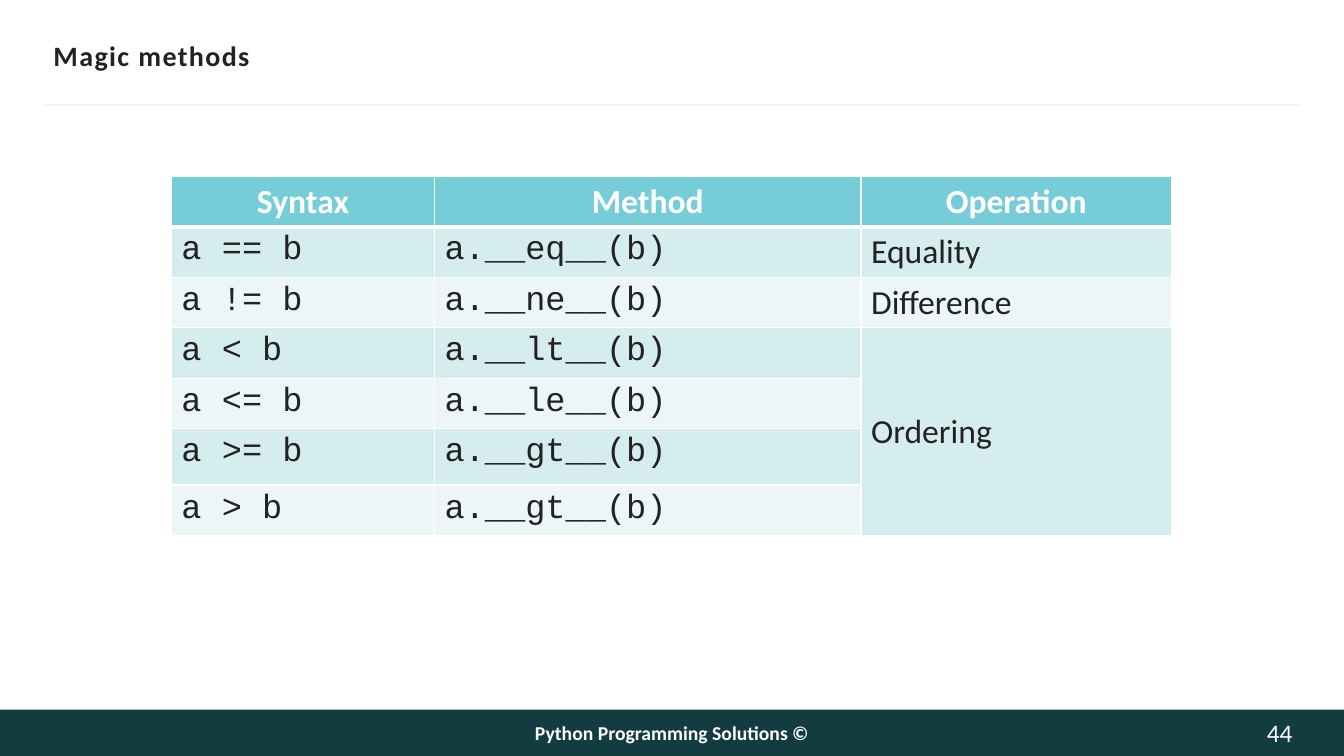
from lxml import etree
from pptx import Presentation
from pptx.dml.color import RGBColor
from pptx.enum import shapes, text
from pptx.oxml import ns
from pptx.util import Inches, Pt

WHITE = RGBColor(0xFF, 0xFF, 0xFF)
NEAR_WHITE = RGBColor(0xFE, 0xFE, 0xFE)
INK = RGBColor(0x22, 0x22, 0x22)
DARK_TEAL = RGBColor(0x13, 0x3C, 0x41)
RULE_GREY = RGBColor(0xF5, 0xF5, 0xF5)
HEADER_TEAL = RGBColor(0x76, 0xCD, 0xD8)
BANDS = [RGBColor(0xD6, 0xED, 0xF0), RGBColor(0xEC, 0xF6, 0xF8)]

HEADERS = ["Syntax", "Method", "Operation"]
ROWS = [
    ("a == b", "a.__eq__(b)", "Equality"),
    ("a != b", "a.__ne__(b)", "Difference"),
    ("a < b", "a.__lt__(b)", "Ordering"),
    ("a <= b", "a.__le__(b)", ""),
    ("a >= b", "a.__gt__(b)", ""),
    ("a > b", "a.__gt__(b)", ""),
]
COLUMN_WIDTHS = [2.61, 4.23, 3.08]
ROW_HEIGHTS = [0.41] * 5 + [0.56, 0.41]
ORDERING_ROW = 3

LEFT, CENTER, RIGHT = text.PP_ALIGN.LEFT, text.PP_ALIGN.CENTER, text.PP_ALIGN.RIGHT
MIDDLE = text.MSO_ANCHOR.MIDDLE
HEADER_FONT = {"name": "Calibri", "size": Pt(24), "bold": True}
CODE_FONT = {"name": "Courier New", "size": Pt(24), "bold": False}
BODY_FONT = {"name": "Calibri", "size": Pt(24), "bold": False}

# words, box, alignment, margins (left/right, top/bottom), wrap, colour, font, letter spacing
TEXT_BOXES = [
    ("Magic methods", (0.53, 0.33, 12.29, 0.44), LEFT, (0, 0.05), False, INK,
     {"name": "Calibri", "size": Pt(20), "bold": True}, 1),
    ("Python Programming Solutions ©", (3.5, 7.04, 6.33, 0.46), CENTER, (0.1, 0.05), True, WHITE,
     {"name": "Calibri", "size": Pt(14), "bold": True}, 0),
    ("44", (12.15, 7.04, 0.67, 0.46), RIGHT, (0, 0), False, NEAR_WHITE,
     {"name": "Calibri", "size": Pt(18), "bold": False}, 0),
]


def write(frame, words, alignment, color, font):
    paragraph = frame.paragraphs[0]
    paragraph.alignment = alignment
    run = paragraph.add_run()
    run.text = words
    for name, value in font.items():
        setattr(run.font, name, value)
    run.font.color.rgb = color
    return run


def add_text(slide, words, box, alignment, margins, wrap, color, font, spacing):
    frame = slide.shapes.add_textbox(*map(Inches, box)).text_frame
    frame.margin_left = frame.margin_right = Inches(margins[0])
    frame.margin_top = frame.margin_bottom = Inches(margins[1])
    frame.word_wrap = wrap
    frame.vertical_anchor = MIDDLE
    run = write(frame, words, alignment, color, font)
    if spacing:
        run.font._element.set("spc", str(spacing * 100))


def set_borders(cell, bottom_width):
    properties = cell._tc.get_or_add_tcPr()
    widths = {"lnL": 1, "lnR": 1, "lnT": 1, "lnB": bottom_width}
    for position, (side, width) in enumerate(widths.items()):
        border = etree.Element(ns.qn(f"a:{side}"), w=str(Pt(width)))
        fill = etree.SubElement(border, ns.qn("a:solidFill"))
        etree.SubElement(fill, ns.qn("a:srgbClr"), val=str(WHITE))
        properties.insert(position, border)


def add_methods_table(slide):
    frame = slide.shapes.add_table(
        len(ROWS) + 1, len(HEADERS), Inches(1.7), Inches(1.75),
        Inches(sum(COLUMN_WIDTHS)), Inches(sum(ROW_HEIGHTS)))
    table = frame.table
    table.horz_banding = False
    for column, width in zip(table.columns, COLUMN_WIDTHS):
        column.width = Inches(width)
    for row, height in zip(table.rows, ROW_HEIGHTS):
        row.height = Inches(height)

    for row_index, values in enumerate([HEADERS, *ROWS]):
        header = row_index == 0
        for column_index, words in enumerate(values):
            cell = table.cell(row_index, column_index)
            cell.fill.solid()
            cell.fill.fore_color.rgb = HEADER_TEAL if header else BANDS[(row_index - 1) % 2]
            set_borders(cell, 3 if header else 1)
            if header:
                write(cell.text_frame, words, CENTER, WHITE, HEADER_FONT)
            elif words:
                font = BODY_FONT if column_index == 2 else CODE_FONT
                write(cell.text_frame, words, LEFT, INK, font)

    ordering = table.cell(ORDERING_ROW, 2)
    ordering.merge(table.cell(len(ROWS), 2))
    for cell in (table.cell(0, 2), ordering):
        cell.vertical_anchor = MIDDLE


def main():
    presentation = Presentation()
    presentation.slide_width, presentation.slide_height = Inches(13.33), Inches(7.5)
    slide = presentation.slides.add_slide(presentation.slide_layouts[6])

    footer = slide.shapes.add_shape(
        shapes.MSO_SHAPE.RECTANGLE, 0, Inches(7.04), Inches(13.33), Inches(0.46))
    footer.shadow.inherit = False
    footer.fill.solid()
    footer.fill.fore_color.rgb = DARK_TEAL
    footer.line.fill.background()

    rule = slide.shapes.add_connector(
        shapes.MSO_CONNECTOR.STRAIGHT, Inches(0.43), Inches(1.04), Inches(12.9), Inches(1.04))
    rule.line.color.rgb = RULE_GREY
    rule.line.width = Pt(1.5)
    etree.SubElement(rule._element.spPr, ns.qn("a:effectLst"))

    for text_box in TEXT_BOXES:
        add_text(slide, *text_box)
    add_methods_table(slide)
    presentation.save("out.pptx")


if __name__ == "__main__":
    main()
